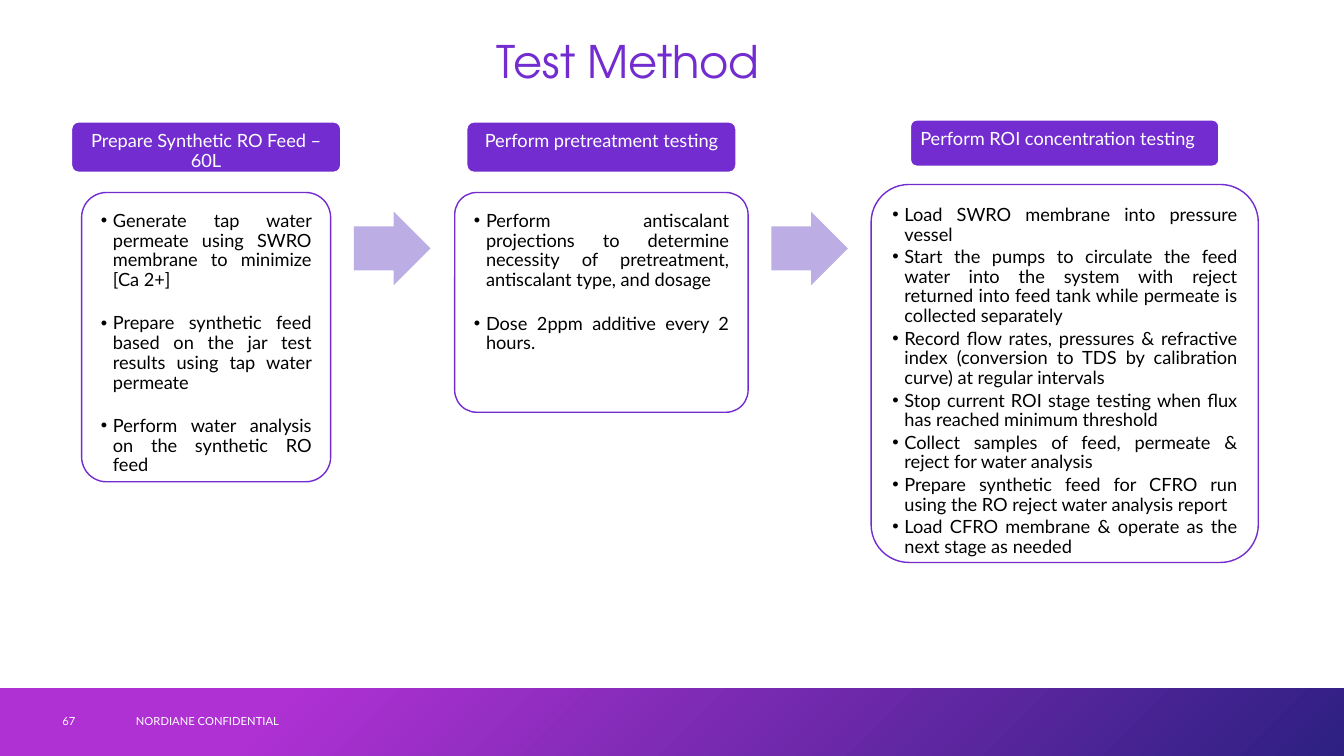
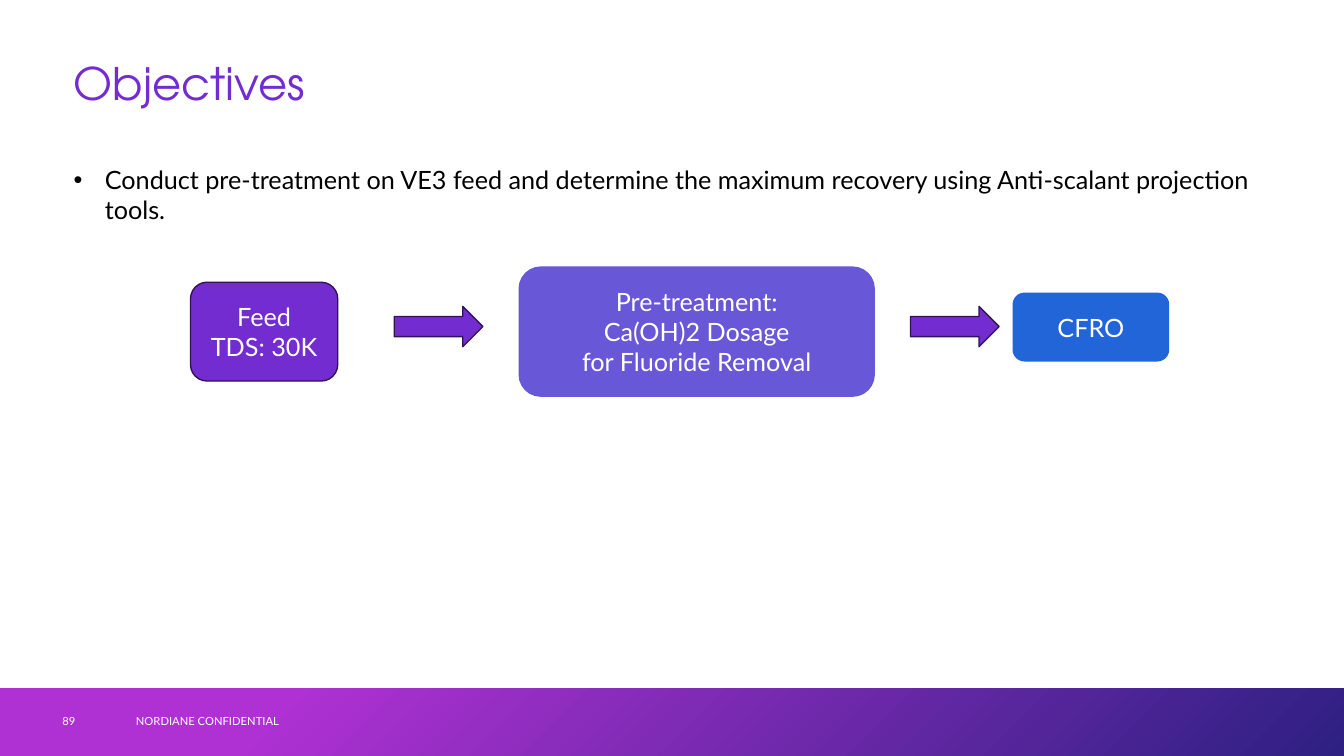
from dataclasses import dataclass

from lxml.etree import SubElement
from pptx import Presentation
from pptx.dml.color import RGBColor as RGB
from pptx.enum.shapes import MSO_SHAPE as Kind
from pptx.enum.text import MSO_ANCHOR as Anchor, MSO_AUTO_SIZE as Fit, PP_ALIGN as Align
from pptx.oxml.ns import qn
from pptx.util import Inches, Pt


@dataclass(frozen=True)
class Theme:
    violet: str = "722CCF"
    edge: str = "32135B"
    indigo: str = "6857D6"
    blue: str = "2265D9"
    lilac: str = "BCADE4"
    pink: str = "AF31D3"
    navy: str = "2D2082"
    white: str = "FFFFFF"
    black: str = "000000"
    head: str = "TeX Gyre Adventor"
    body: str = "Lato"
    title: int = 32
    large: int = 18
    small: int = 13
    foot: int = 8


T = Theme()
WIDE, HIGH = 13.33, 7.5
BAND = 0.67
CORNER = 0.29  # share of a corner radius that a rounded box keeps free of text

STEPS = [
    dict(label="Prepare Synthetic RO Feed – 60L",
         tab=(0.71, 1.21, 2.67, 0.5), card=(0.81, 1.91, 2.47, 2.87), after=17,
         items=["Generate tap water permeate using SWRO membrane to minimize [Ca 2+]",
                "Prepare synthetic feed based on the jar test results using tap water permeate",
                "Perform water analysis on the synthetic RO feed"]),
    dict(label="Perform pretreatment testing",
         tab=(4.63, 1.21, 2.67, 0.5), card=(4.51, 1.91, 2.91, 2.18), after=17,
         items=["Perform antiscalant projections to determine necessity of pretreatment, "
                "antiscalant type, and dosage",
                "Dose 2ppm additive every 2 hours."]),
    dict(label="Perform ROI concentration testing", align=Align.LEFT, pad=0.21,
         tab=(9.03, 1.19, 3.06, 0.46), card=(8.64, 1.83, 3.84, 3.75), after=2,
         items=["Load SWRO membrane into pressure vessel",
                "Start the pumps to circulate the feed water into the system with reject "
                "returned into feed tank while permeate is collected separately",
                "Record flow rates, pressures & refractive index (conversion to TDS by "
                "calibration curve) at regular intervals",
                "Stop current ROI stage testing when flux has reached minimum threshold",
                "Collect samples of feed, permeate & reject for water analysis",
                "Prepare synthetic feed for CFRO run using the RO reject water analysis report",
                "Load CFRO membrane & operate as the next stage as needed"]),
]


def place(shape, box):
    shape.left, shape.top, shape.width, shape.height = map(Inches, box)


def write(shape, lines, size, color=T.black, font=T.body, align=Align.LEFT,
          anchor=Anchor.MIDDLE, pad=(0.1, 0.05, 0.1, 0.05), spacing=1.0, after=0, indent=0):
    """Fill a shape with paragraphs; an indent above zero makes them bullets."""
    frame = shape.text_frame
    frame.word_wrap, frame.auto_size = True, Fit.NONE
    frame.vertical_anchor = anchor
    (frame.margin_left, frame.margin_top,
     frame.margin_right, frame.margin_bottom) = map(Inches, pad)
    for i, line in enumerate(lines):
        para = frame.paragraphs[0] if i == 0 else frame.add_paragraph()
        para.text = line
        if indent:
            props = para._p.get_or_add_pPr()
            props.set("marL", str(Inches(indent)))
            props.set("indent", str(-Inches(indent)))
            SubElement(props, qn("a:buFont")).set("typeface", "Arial")
            SubElement(props, qn("a:buChar")).set("char", "•")
        para.alignment, para.line_spacing = align, spacing
        para.space_before, para.space_after = Pt(0), Pt(after)
        para.font.name, para.font.size = font, Pt(size)
        para.font.color.rgb = RGB.from_string(color)


def draw(slide, kind, box, fill, line=None, adjust=()):
    shape = slide.shapes.add_shape(kind, *map(Inches, box))
    shape.shadow.inherit = False
    shape.fill.solid()
    shape.fill.fore_color.rgb = RGB.from_string(fill)
    if line:
        shape.line.color.rgb = RGB.from_string(line)
        shape.line.width = Pt(1)
    else:
        shape.line.fill.background()
    for i, value in enumerate(adjust):
        shape.adjustments[i] = value
    return shape


def add_band(prs, slide):
    """Draw the gradient band and move it to the master, behind all else."""
    band = draw(slide, Kind.RECTANGLE, (0, HIGH - BAND, WIDE, BAND), T.pink)
    band.fill.gradient()
    band.fill.gradient_angle = 315
    stops = zip(band.fill.gradient_stops, (0.21, 1), (T.pink, T.navy))
    for stop, place_at, color in stops:
        stop.position = place_at
        stop.color.rgb = RGB.from_string(color)
    prs.slide_master.shapes.element.insert(2, band.element)


def add_page(prs, layout, title, number, at, align=Align.LEFT):
    slide = prs.slides.add_slide(prs.slide_layouts[layout])
    place(slide.shapes.title, (*at, 11.5, 0.67))
    write(slide.shapes.title, [title], T.title, T.violet, T.head, align, spacing=0.9)
    for text, left, width in (("NORDIANE CONFIDENTIAL", 1.25, 4.5), (number, 0.52, 0.72)):
        box = slide.shapes.add_textbox(*map(Inches, (left, 6.95, width, 0.4)))
        write(box, [text], T.foot, T.white)
    return slide


def add_step(slide, label, tab, card, items, after, align=Align.CENTER, pad=0.19):
    head = draw(slide, Kind.ROUNDED_RECTANGLE, tab, T.violet, T.white, [0.14])
    write(head, [label], T.small, T.white, align=align, anchor=Anchor.TOP,
          pad=(0.08, 0.08, 0.08, 0), spacing=0.9)
    round_by = 0.1
    inner = pad - CORNER * round_by * min(card[2:])
    body = draw(slide, Kind.ROUNDED_RECTANGLE, card, T.white, T.violet, [round_by])
    write(body, items, T.small, align=Align.JUSTIFY, anchor=Anchor.TOP,
          pad=(inner, inner, inner, 0), spacing=0.9, after=after, indent=0.12)


def add_node(slide, lines, box, fill, line):
    node = draw(slide, Kind.ROUNDED_RECTANGLE, box, fill, line)
    write(node, lines, T.large, T.white, align=Align.CENTER)


def add_method(prs):
    slide = add_page(prs, 5, "Test Method", "67", (0.48, 0.3), Align.CENTER)
    for step in STEPS:
        add_step(slide, **step)
    for left in (3.51, 7.65):
        draw(slide, Kind.RIGHT_ARROW, (left, 2.1, 0.76, 0.73), T.lilac, adjust=(0.6, 0.5))
    return slide


def add_goals(prs):
    slide = add_page(prs, 1, "Objectives", "89", (0.63, 0.52))
    goal = slide.placeholders[1]
    place(goal, (0.63, 1.58, 12.03, 0.75))
    write(goal, ["Conduct pre-treatment on VE3 feed and determine the maximum recovery "
                 "using Anti-scalant projection tools."],
          T.large, anchor=Anchor.TOP, indent=0.31)
    add_node(slide, ["Feed", "TDS: 30K"], (1.89, 2.8, 1.46, 0.98), T.violet, T.edge)
    add_node(slide, ["Pre-treatment:", "Ca(OH)2 Dosage", "for Fluoride Removal"],
             (5.15, 2.65, 3.52, 1.28), T.indigo, T.indigo)
    add_node(slide, ["CFRO"], (10.05, 2.91, 1.54, 0.67), T.blue, T.blue)
    for left in (3.91, 9.03):
        draw(slide, Kind.RIGHT_ARROW, (left, 3.04, 0.88, 0.4), T.violet, T.edge)


def main():
    prs = Presentation()
    prs.slide_width, prs.slide_height = Inches(WIDE), Inches(HIGH)
    add_band(prs, add_method(prs))
    add_goals(prs)
    prs.save("out.pptx")


if __name__ == "__main__":
    main()
